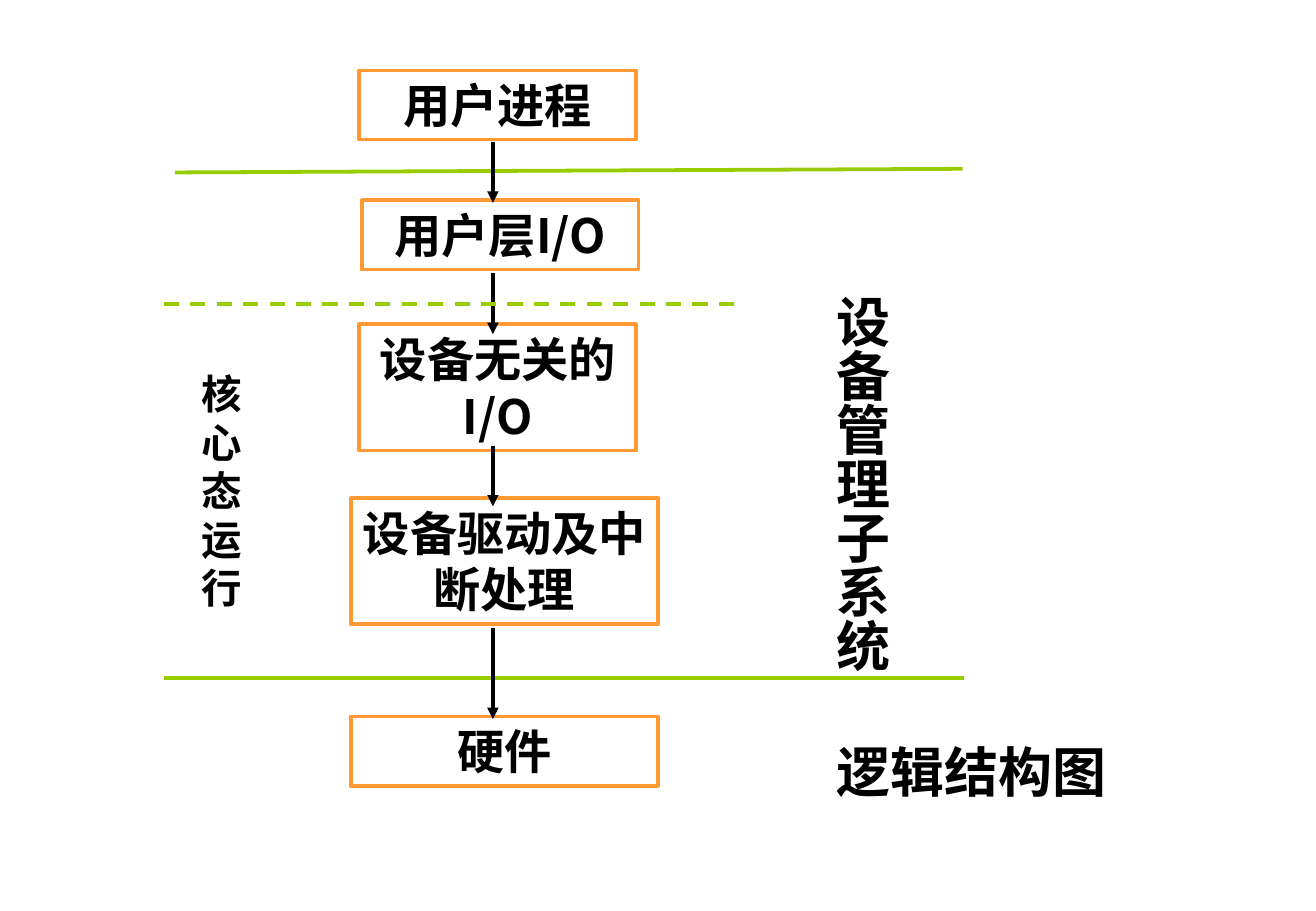
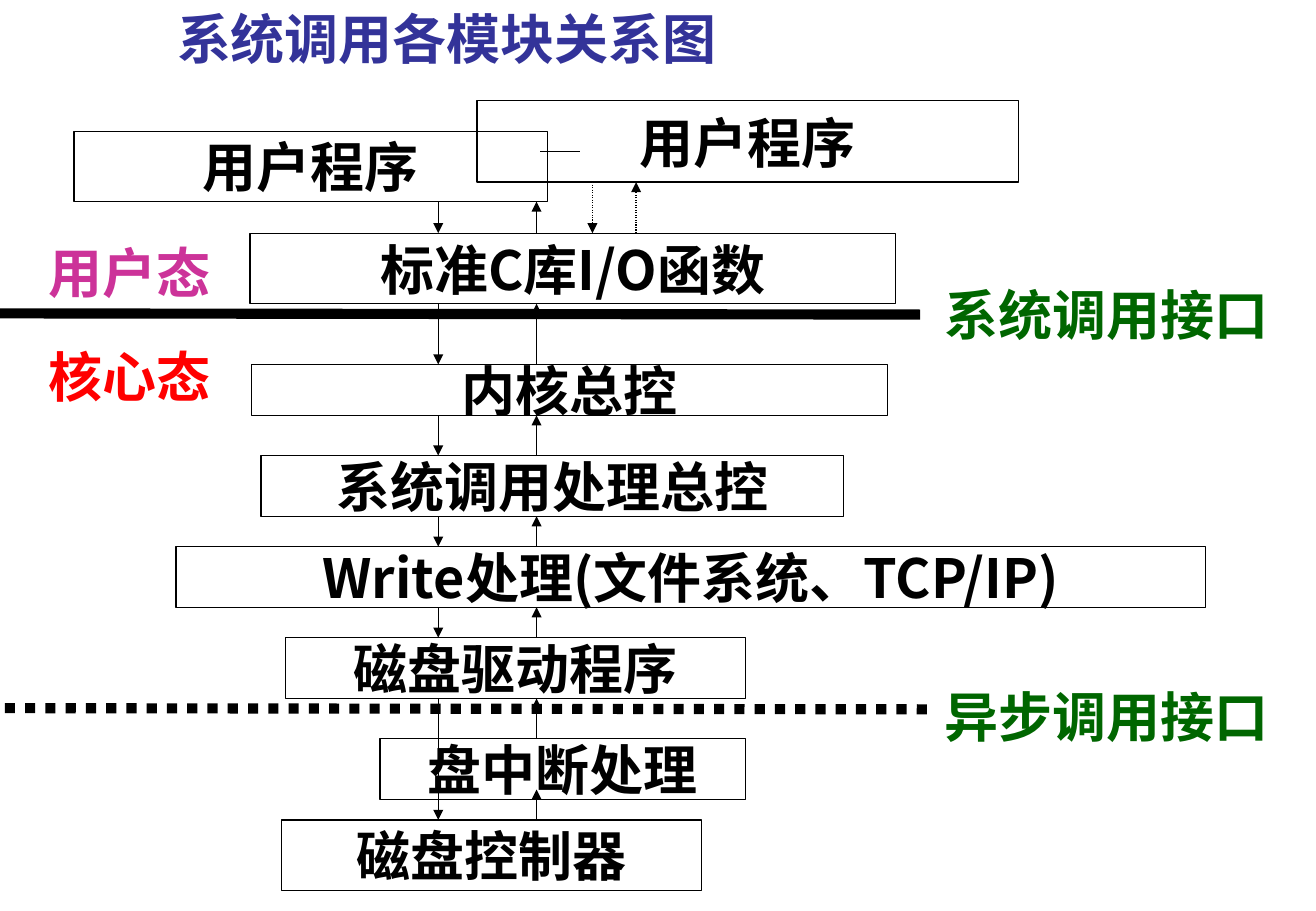
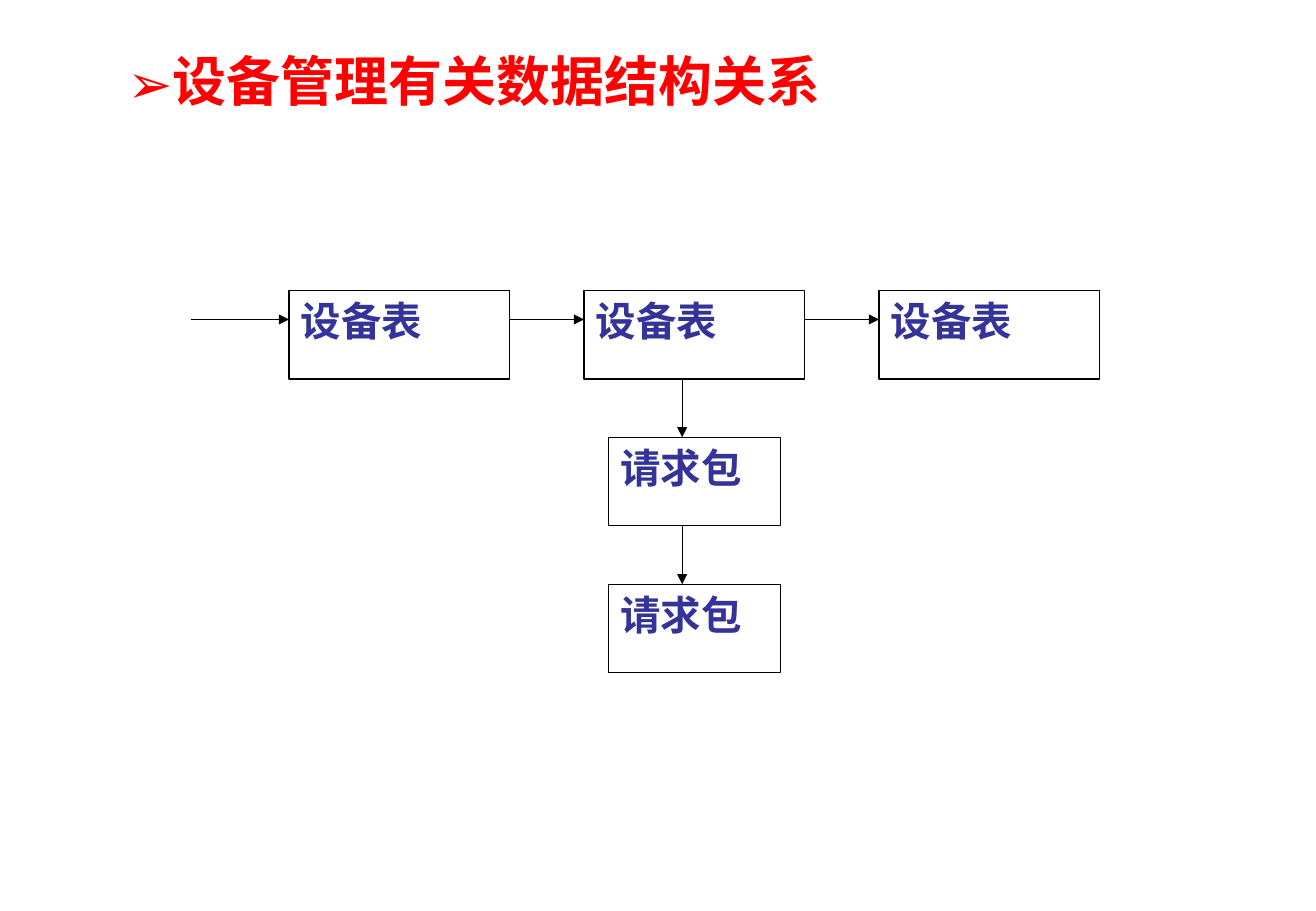
from dataclasses import dataclass
from itertools import pairwise
from typing import Optional

from lxml.etree import SubElement
from pptx import Presentation
from pptx.dml.color import RGBColor
from pptx.enum.dml import MSO_LINE
from pptx.enum.shapes import MSO_CONNECTOR, MSO_SHAPE
from pptx.enum.text import MSO_ANCHOR, MSO_AUTO_SIZE, PP_ALIGN
from pptx.oxml.ns import qn
from pptx.util import Inches, Pt

SANS = "Noto Sans CJK SC"
SERIF = "Times New Roman"
HUES = {
    "black": "000000",
    "white": "FFFFFF",
    "orange": "FF9933",
    "lime": "99CC00",
    "pink": "CC3399",
    "red": "FF0000",
    "green": "006600",
    "navy": "333399",
}


@dataclass(frozen=True)
class Box:
    text: str
    left: float
    top: float
    width: float
    height: float

    @property
    def right(self) -> float:
        return self.left + self.width

    @property
    def base(self) -> float:
        return self.top + self.height


@dataclass(frozen=True)
class Look:
    """Style of a framed box and its text."""
    edge: str = "black"
    weight: float = 0.75
    fill: Optional[str] = None
    size: int = 32
    font: str = SANS
    hue: str = "black"
    align: PP_ALIGN = PP_ALIGN.CENTER
    anchor: MSO_ANCHOR = MSO_ANCHOR.MIDDLE
    wrap: bool = False
    grow: bool = False


LAYER = Look(edge="orange", weight=2.25, size=28, anchor=MSO_ANCHOR.TOP,
             wrap=True, grow=True)
MODULE = Look()
RECORD = Look(fill="white", size=24, font=SERIF, hue="navy",
              align=PP_ALIGN.JUSTIFY, anchor=MSO_ANCHOR.TOP, wrap=True)


def paint(name: str) -> RGBColor:
    return RGBColor.from_string(HUES[name])


def write(shape, text: str, *, size: int = 32, font: str = SANS,
          hue: str = "black", align: PP_ALIGN = PP_ALIGN.LEFT,
          anchor: MSO_ANCHOR = MSO_ANCHOR.TOP, wrap: bool = False,
          grow: bool = True, upright: bool = False, bullet: str = "") -> None:
    frame = shape.text_frame
    frame.word_wrap = wrap
    frame.auto_size = MSO_AUTO_SIZE.SHAPE_TO_FIT_TEXT if grow else MSO_AUTO_SIZE.NONE
    frame.vertical_anchor = anchor
    wide, slim = (0.05, 0.1) if upright else (0.1, 0.05)
    frame.margin_left = frame.margin_right = Inches(wide)
    frame.margin_top = frame.margin_bottom = Inches(slim)
    if upright:
        frame._txBody.bodyPr.set("vert", "eaVert")
    para = frame.paragraphs[0]
    para.alignment = align
    if bullet:
        props = para._p.get_or_add_pPr()
        tint = SubElement(props, qn("a:buClr"))
        SubElement(tint, qn("a:srgbClr"), val=HUES[hue])
        SubElement(props, qn("a:buFont"), typeface=font)
        SubElement(props, qn("a:buChar"), char=bullet)
    run = para.add_run()
    run.text = text
    run.font.size = Pt(size)
    run.font.bold = True
    run.font.color.rgb = paint(hue)
    run.font.name = font
    SubElement(run._r.get_or_add_rPr(), qn("a:ea"), typeface=SANS)


def place(box: Box) -> tuple:
    return tuple(Inches(n) for n in (box.left, box.top, box.width, box.height))


def label(slide, box: Box, **style) -> None:
    write(slide.shapes.add_textbox(*place(box)), box.text, **style)


def frame_box(slide, box: Box, look: Look) -> None:
    shape = slide.shapes.add_shape(MSO_SHAPE.RECTANGLE, *place(box))
    shape.shadow.inherit = False
    if look.fill:
        shape.fill.solid()
        shape.fill.fore_color.rgb = paint(look.fill)
    else:
        shape.fill.background()
    shape.line.color.rgb = paint(look.edge)
    shape.line.width = Pt(look.weight)
    write(shape, box.text, size=look.size, font=look.font, hue=look.hue,
          align=look.align, anchor=look.anchor, wrap=look.wrap, grow=look.grow)


def rule(slide, start: tuple[float, float], end: tuple[float, float], *,
         hue: str = "black", weight: float = 0.75,
         dash: Optional[MSO_LINE] = None, arrow: bool = False) -> None:
    points = (Inches(n) for n in (*start, *end))
    link = slide.shapes.add_connector(MSO_CONNECTOR.STRAIGHT, *points)
    link.line.color.rgb = paint(hue)
    link.line.width = Pt(weight)
    if dash:
        link.line.dash_style = dash
    if arrow:
        SubElement(link.line._get_or_add_ln(), qn("a:tailEnd"), type="triangle")
    SubElement(link._element.spPr, qn("a:effectLst"))


def drop(slide, x: float, start: float, end: float, **style) -> None:
    """Draw an upright arrow."""
    rule(slide, (x, start), (x, end), arrow=True, **style)


def draw_layers(slide) -> None:
    for box in (
        Box("用户进程", 2.96, 0.58, 2.28, 0.57),
        Box("用户层I/O", 2.98, 1.65, 2.28, 0.57),
        Box("设备无关的I/O", 2.96, 2.67, 2.28, 1.04),
        Box("设备驱动及中断处理", 2.89, 4.1, 2.53, 1.04),
        Box("硬件", 2.89, 5.9, 2.53, 0.57),
    ):
        frame_box(slide, box, LAYER)
    rule(slide, (1.35, 5.58), (7.94, 5.58), hue="lime", weight=2.25)
    rule(slide, (1.44, 1.42), (7.93, 1.39), hue="lime", weight=2.25)
    for start, end in ((1.17, 1.67), (2.25, 2.75), (3.67, 4.17), (5.17, 5.92)):
        drop(slide, 4.06, start, end, weight=2.25)
    rule(slide, (1.35, 2.5), (6.1, 2.5), hue="lime", weight=2.25,
         dash=MSO_LINE.DASH)
    label(slide, Box("设备管理子系统", 6.68, 2.33, 0.73, 3.22), upright=True)
    label(slide, Box("逻辑结构图", 6.79, 6.03, 2.5, 0.64))
    label(slide, Box("核心态运行", 1.56, 2.99, 0.61, 2.1), size=24, font=SERIF,
          wrap=True)


def draw_calls(slide) -> None:
    down, up = 3.61, 4.42
    chain = [
        Box("用户程序", 0.61, 1.08, 3.9, 0.58),
        Box("标准C库I/O函数", 2.06, 1.92, 5.32, 0.58),
        Box("内核总控", 2.07, 3, 5.24, 0.42),
        Box("系统调用处理总控", 2.15, 3.75, 4.8, 0.5),
        Box("Write处理(文件系统、TCP/IP)", 1.45, 4.5, 8.48, 0.5),
        Box("磁盘驱动程序", 2.35, 5.25, 3.79, 0.5),
        Box("磁盘控制器", 2.32, 6.75, 3.46, 0.58),
    ]
    break_in = Box("盘中断处理", 3.13, 6.08, 3.01, 0.5)
    other = Box("用户程序", 3.93, 0.83, 4.46, 0.67)
    for box in (*chain, break_in, other):
        frame_box(slide, box, MODULE)

    for above, below in pairwise(chain):
        drop(slide, down, above.base, below.top)
    for above, below in pairwise([*chain[:-1], break_in]):
        drop(slide, up, below.top, above.base)
    drop(slide, up, chain[-1].top, 6.5)
    library = chain[1]
    drop(slide, 4.88, other.base, library.top, dash=MSO_LINE.ROUND_DOT)
    drop(slide, 5.24, library.top, other.base, dash=MSO_LINE.ROUND_DOT)
    rule(slide, (4.45, 1.25), (4.78, 1.25))

    rule(slide, (0, 2.58), (7.58, 2.59), weight=6)
    rule(slide, (0.04, 5.83), (7.67, 5.84), weight=6, dash=MSO_LINE.ROUND_DOT)
    label(slide, Box("系统调用各模块关系图", 1.36, 0, 4.75, 0.64),
          font=SERIF, hue="navy")
    for text, top, hue in (("用户态", 1.92, "pink"), ("核心态", 2.78, "red")):
        label(slide, Box(text, 0.3, top, 1.6, 0.64), hue=hue)
    for text, top in (("系统调用接口", 2.27), ("异步调用接口", 5.58)):
        label(slide, Box(text, 7.68, top, 2.95, 0.64), font=SERIF, hue="green")


def draw_tables(slide) -> None:
    label(slide, Box("设备管理有关数据结构关系", 0.95, 0.34, 6.05, 0.64),
          hue="red", bullet="➢")
    units = [Box("设备表", 2.38 + 2.43 * i, 2.39, 1.82, 0.73) for i in range(3)]
    packets = [Box("请求包", 5.01, 3.6 + 1.21 * i, 1.42, 0.73) for i in range(2)]
    for box in (*units, *packets):
        frame_box(slide, box, RECORD)
    starts = [1.57, *(unit.right for unit in units[:-1])]
    for start, unit in zip(starts, units):
        rule(slide, (start, 2.63), (unit.left, 2.63), arrow=True)
    for above, below in pairwise([units[1], *packets]):
        drop(slide, 5.62, above.base, below.top)


def main() -> None:
    deck = Presentation()
    deck.slide_width = Inches(10.84)
    deck.slide_height = Inches(7.5)
    blank = deck.slide_layouts[6]
    for draw in (draw_layers, draw_calls, draw_tables):
        draw(deck.slides.add_slide(blank))
    deck.save("out.pptx")


if __name__ == "__main__":
    main()
